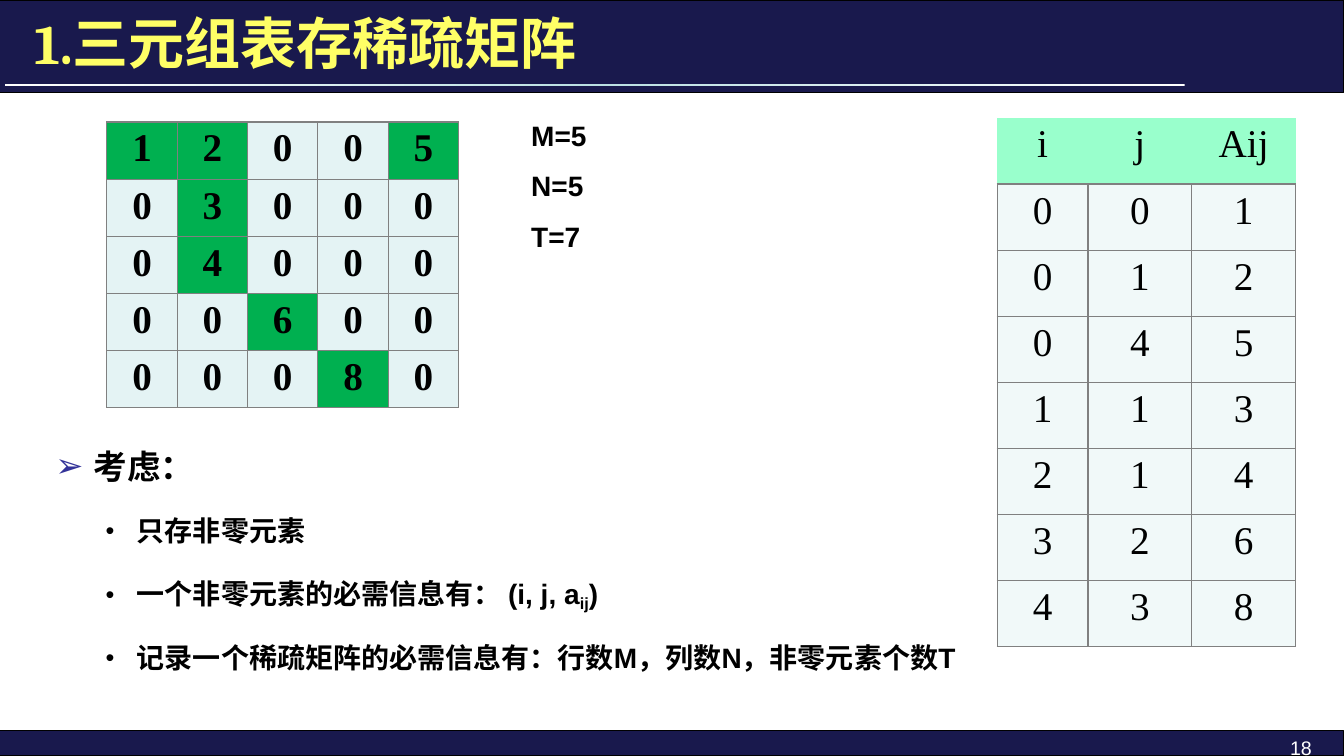
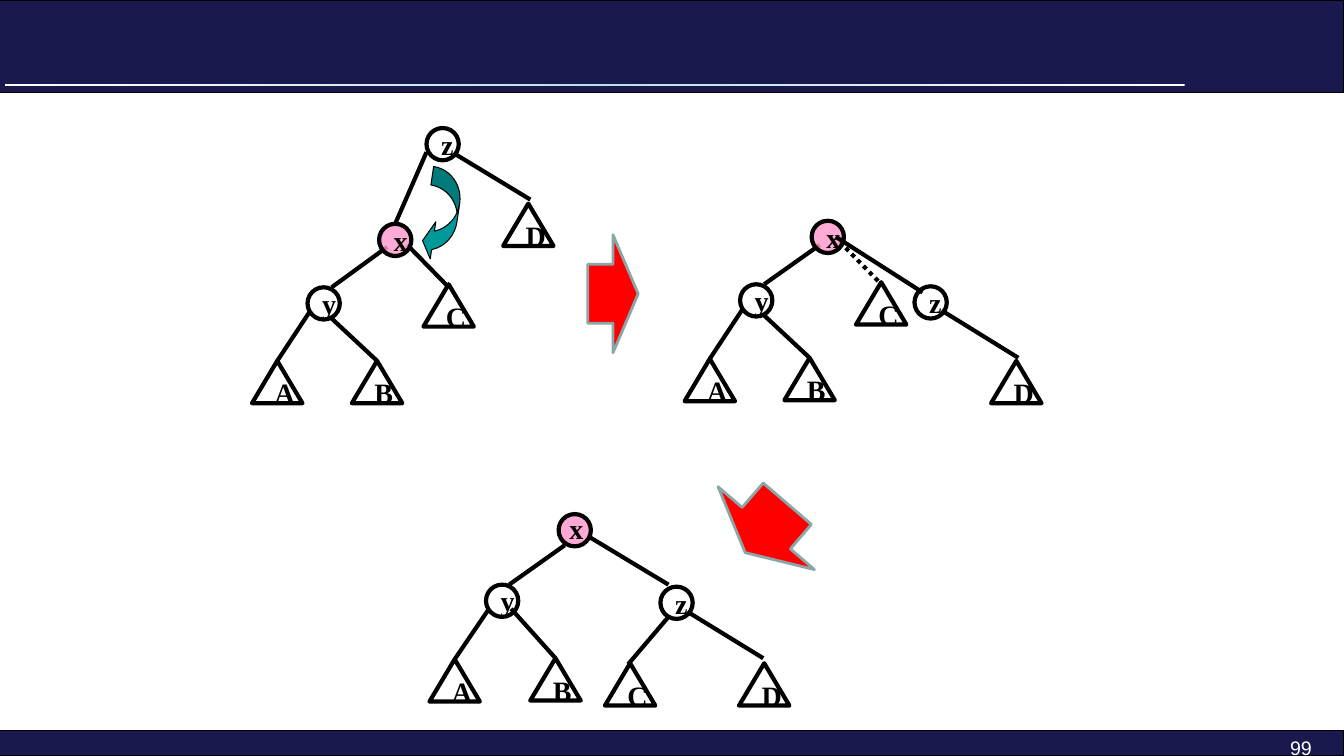
"""Build two slides: a sparse matrix stored as triples, and a double tree rotation."""
from lxml.etree import SubElement
from pptx import Presentation
from pptx.dml.color import RGBColor
from pptx.enum.dml import MSO_LINE
from pptx.enum.shapes import MSO_CONNECTOR, MSO_SHAPE
from pptx.enum.text import MSO_ANCHOR, PP_ALIGN
from pptx.oxml.ns import qn
from pptx.util import Pt

PX = 9144
COLORS = {
    "band": "19194D", "black": "000000", "white": "FFFFFF", "glow": "BBE0E3",
    "title": "FFFF66", "bullet": "333399", "grid": "808080",
    "zero": "E4F3F4", "nonzero": "00B050", "header": "99FFCC", "triple": "F1F9F9",
    "pivot": "FF99CC", "turn": "009999", "step": "FF0000", "step_edge": "8AA6A8",
}
SERIF = "Times New Roman"


def place(page, kind, box, fill=None, line=None, weight=0.75):
    """Add a preset shape with its fill and outline."""
    shape = page.shapes.add_shape(kind, *[value * PX for value in box])
    shape.shadow.inherit = False
    if fill:
        shape.fill.solid()
        shape.fill.fore_color.rgb = RGBColor.from_string(COLORS[fill])
    else:
        shape.fill.background()
    if line:
        shape.line.color.rgb = RGBColor.from_string(COLORS[line])
        shape.line.width = Pt(weight)
    else:
        shape.line.fill.background()
    return shape


def style(para, size, font="Arial", color="black", bold=True, align=PP_ALIGN.LEFT):
    """Format every run of a paragraph."""
    para.alignment = align
    for span in para.runs:
        span.font.size = Pt(size)
        span.font.name = font
        span.font.bold = bold
        span.font.color.rgb = RGBColor.from_string(COLORS[color])


deck = Presentation()
deck.slide_width, deck.slide_height = 1333 * PX, 750 * PX

pages = []
for number in ("18", "99"):
    page = deck.slides.add_slide(deck.slide_layouts[6])
    pages.append(page)
    for top, height in ((725, 25), (0, 92)):
        place(page, MSO_SHAPE.RECTANGLE, (0, top, 1333, height), "band", "black")
    rule = place(page, MSO_SHAPE.RECTANGLE, (5, 83, 1170, 2))
    rule.fill.gradient()
    rule.fill.gradient_angle = 0
    stops = rule._element.spPr.find(".//" + qn("a:gsLst"))
    stops.clear()
    for position, color in ((0, "white"), (50000, "glow"), (100000, "white")):
        stop = SubElement(stops, qn("a:gs"), pos=str(position))
        SubElement(stop, qn("a:srgbClr"), val=COLORS[color])
    footer = page.shapes.add_textbox(1111 * PX, 725 * PX, 200 * PX, 25 * PX).text_frame
    footer.word_wrap = True
    footer.text = number
    style(footer.paragraphs[0], 14, color="white", bold=False, align=PP_ALIGN.RIGHT)

matrix_page, tree_page = pages

title = matrix_page.shapes.add_textbox(0, 0, 1333 * PX, 84 * PX).text_frame
title.word_wrap = True
title.vertical_anchor = MSO_ANCHOR.MIDDLE
title.margin_left = 34 * PX
title.text = "1.三元组表存稀疏矩阵"
style(title.paragraphs[0], 40, "Cambria", "title")

bullets = (
    (0, ["考虑："]),
    (1, ["只存非零元素"]),
    (1, ["一个非零元素的必需信息有： (i, j, a", "ij", ")"]),
    (1, ["记录一个稀疏矩阵的必需信息有：行数M，列数N，非零元素个数T"]),
)
body = matrix_page.shapes.add_textbox(45 * PX, 417 * PX, 944 * PX, 291 * PX).text_frame
body.word_wrap = True
for index, (level, texts) in enumerate(bullets):
    para = body.add_paragraph() if index else body.paragraphs[0]
    para.level = level
    para.line_spacing = 1.5
    para.space_before = Pt(8 if index else 0)
    margin, indent = ((38, -38), (81, -31))[level]
    properties = para._p.get_or_add_pPr()
    properties.set("marL", str(margin * PX))
    properties.set("indent", str(indent * PX))
    tint = SubElement(properties, qn("a:buClr"))
    SubElement(tint, qn("a:srgbClr"), val=COLORS["black" if level else "bullet"])
    SubElement(properties, qn("a:buSzPct"), val="90000" if level else "100000")
    SubElement(properties, qn("a:buFont"), typeface="Arial")
    SubElement(properties, qn("a:buChar"), char="•" if level else "➢")
    for text in texts:
        para.add_run().text = text
    style(para, 20 if level else 24)
    for span in para.runs[1:2]:
        span.font._element.set("baseline", "-18000")

matrix = (
    (1, 2, 0, 0, 5),
    (0, 3, 0, 0, 0),
    (0, 4, 0, 0, 0),
    (0, 0, 6, 0, 0),
    (0, 0, 0, 8, 0),
)
triples = [
    (i, j, value)
    for i, row in enumerate(matrix)
    for j, value in enumerate(row)
    if value
]
tables = (
    ((106, 121, 349, 283), matrix, None),
    ((989, 117, 296, 525), [("i", "j", "Aij"), *triples], (90, 103, 103)),
)
for box, rows, widths in tables:
    table = matrix_page.shapes.add_table(
        len(rows), len(rows[0]), *[value * PX for value in box]
    ).table
    table.first_row = table.horz_banding = False
    for column, width in zip(table.columns, widths or ()):
        column.width = width * PX
    for i, row in enumerate(rows):
        for j, value in enumerate(row):
            cell = table.cell(i, j)
            cell.text = str(value)
            style(cell.text_frame.paragraphs[0], 28, SERIF,
                  bold=rows is matrix, align=PP_ALIGN.CENTER)
            if rows is matrix:
                fill = "nonzero" if value else "zero"
            else:
                fill = "triple" if i else "header"
            for side in ("lnL", "lnR", "lnT", "lnB"):
                border = SubElement(cell._tc.get_or_add_tcPr(), qn("a:" + side), w="12700")
                if fill == "header" and side != "lnB":
                    SubElement(border, qn("a:noFill"))
                else:
                    paint = SubElement(border, qn("a:solidFill"))
                    SubElement(paint, qn("a:srgbClr"), val=COLORS["grid"])
            cell.fill.solid()
            cell.fill.fore_color.rgb = RGBColor.from_string(COLORS[fill])

sizes = matrix_page.shapes.add_textbox(517 * PX, 96 * PX, 94 * PX, 155 * PX).text_frame
sizes.word_wrap = True
sizes.text = "M=5\nN=5\nT=7"
for para in sizes.paragraphs:
    para.line_spacing = 1.5
    style(para, 20)

trees = (
    {
        "nodes": (("A", 250, 358), ("B", 349, 358), ("C", 420, 282), ("D", 499, 202),
                  ("x", 376, 222), ("y", 305, 285), ("z", 423, 127)),
        "edges": ((308, 308, 275, 358), (404, 243, 445, 285), (329, 316, 374, 358),
                  (329, 285, 384, 245), (450, 152, 526, 198)),
        "pivot_edge": (423, 151, 392, 222),
    },
    {
        "nodes": (("A", 679, 356), ("B", 778, 355), ("C", 849, 280), ("D", 983, 358),
                  ("x", 805, 219), ("y", 734, 282), ("z", 907, 284)),
        "edges": ((737, 306, 704, 356), (758, 313, 803, 355), (758, 282, 813, 243),
                  (934, 308, 1010, 355)),
        "dotted_edge": (833, 240, 874, 282),
        "pivot_edge": (915, 290, 829, 235),
    },
    {
        "nodes": (("A", 426, 654), ("B", 526, 653), ("C", 600, 658), ("D", 733, 658),
                  ("x", 554, 510), ("y", 482, 580), ("z", 655, 582)),
        "edges": ((485, 604, 451, 654), (507, 604, 551, 653), (505, 580, 560, 541),
                  (682, 607, 757, 653), (663, 612, 623, 659)),
        "pivot_edge": (663, 580, 585, 533),
    },
)
for tree in trees:
    dotted = tree.get("dotted_edge")
    layers = [("edge", edge) for edge in tree["edges"]]
    layers += [("edge", dotted)] if dotted else []
    layers += [("node", node) for node in tree["nodes"]]
    layers.append(("edge", tree["pivot_edge"]))
    for kind, item in layers:
        if kind == "edge":
            edge = tree_page.shapes.add_connector(
                MSO_CONNECTOR.STRAIGHT, *[value * PX for value in item]
            )
            edge.line.color.rgb = RGBColor.from_string(COLORS["black"])
            edge.line.width = Pt(3)
            SubElement(edge._element.spPr, qn("a:effectLst"))
            if item == dotted:
                edge.line.dash_style = MSO_LINE.ROUND_DOT
                edge.line._ln.find(qn("a:prstDash")).set("val", "sysDot")
            continue
        label, left, top = item
        if label.isupper():
            node = place(tree_page, MSO_SHAPE.ISOSCELES_TRIANGLE,
                         (left, top, 50, 42), None, "black", 3)
        else:
            node = place(tree_page, MSO_SHAPE.OVAL, (left, top, 32, 32),
                         "pivot" if label == "x" else None, "black", 3)
        frame = node.text_frame
        frame.word_wrap = False
        frame.vertical_anchor = MSO_ANCHOR.MIDDLE
        frame.text = label
        style(frame.paragraphs[0], 20, SERIF)
        if label == "x":
            tint = node._element.spPr.find(qn("a:solidFill") + "/" + qn("a:srgbClr"))
            SubElement(tint, qn("a:alpha"), val="83000")
            if tree is trees[-1]:
                frame.margin_left, frame.margin_top = 6 * PX, 1 * PX

turn = place(tree_page, MSO_SHAPE.CURVED_DOWN_ARROW, (392, 198, 93, 31), "turn", "black")
turn.rotation = 98.5
for index, amount in enumerate((0.6, 1.2, 0.33)):
    turn.adjustments[index] = amount

place(tree_page, MSO_SHAPE.RIGHT_ARROW, (583, 233, 50, 117), "step", "step_edge", 2)
second_step = place(tree_page, MSO_SHAPE.DOWN_ARROW, (697, 492, 126, 64),
                    "step", "step_edge", 2)
second_step.rotation = 40.7

deck.save("out.pptx")
